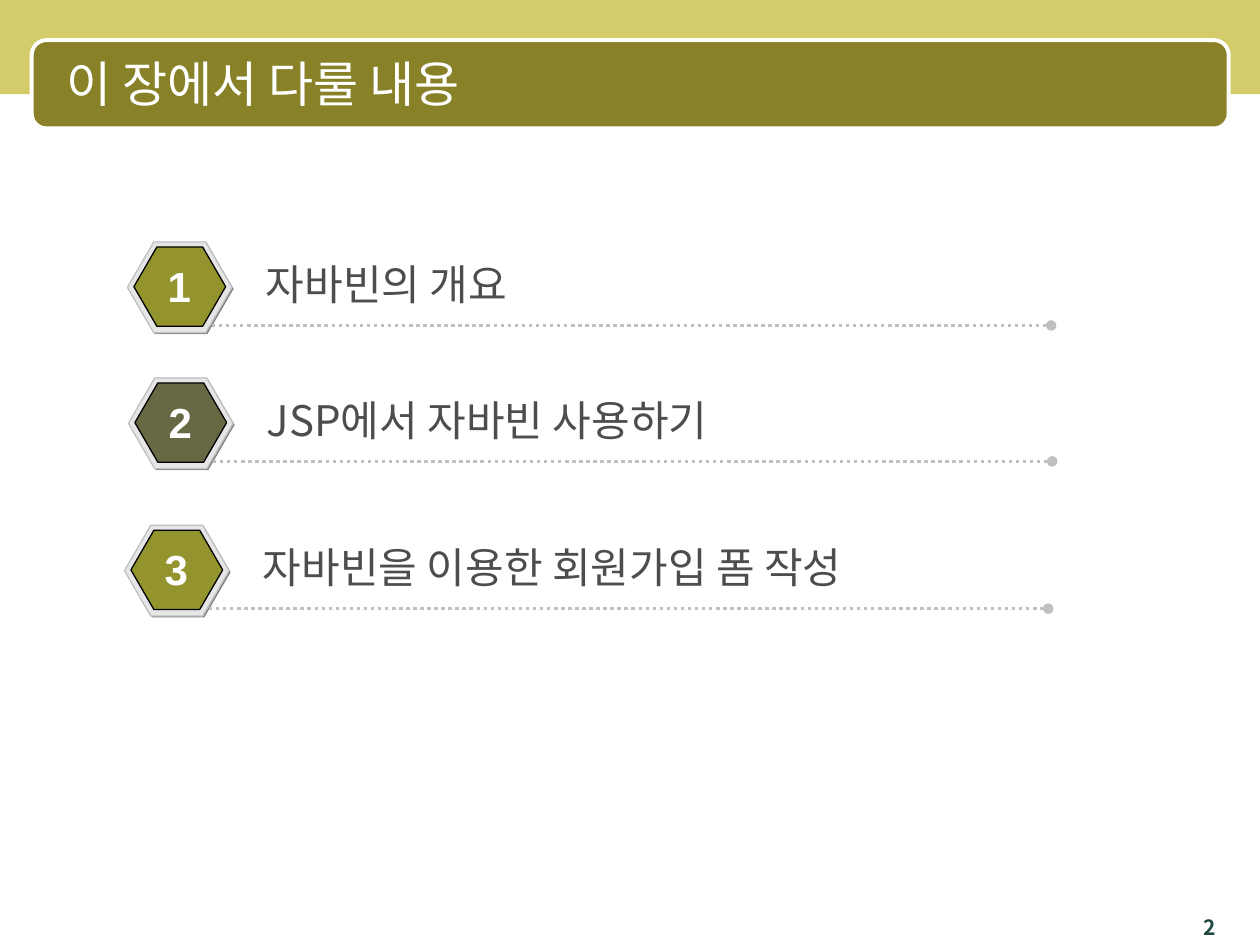
"""Build the chapter contents slide."""
import lxml.etree
import pptx
import pptx.dml.color
import pptx.enum.dml
import pptx.enum.shapes
import pptx.enum.text
import pptx.oxml.ns
import pptx.util

TITLE = "이 장에서 다룰 내용"
PAGE = "2"
ROWS = [
    ("자바빈의 개요", 2.57, 4.88, "olive", 80),
    ("JSP에서 자바빈 사용하기", 2.59, 7.62, "dark", 70),
    ("자바빈을 이용한 회원가입 폼 작성", 2.51, 10.59, "olive", 80),
]
HUES = {
    "band": "D4CC6A", "bar": "888128", "white": "FFFFFF", "page": "1D4940",
    "shade": "808080", "rim": "E6E6E6", "edge": "C0C0C0", "black": "000000",
    "olive": "808000", "dark": "333300", "text": "4D4D4D",
}
SANS = "Noto Sans CJK KR"
HEAD = {"size": pptx.util.Pt(28), "name": SANS}
BODY = {"size": pptx.util.Pt(24), "name": SANS}
DIGIT = {"size": pptx.util.Pt(24), "name": "Arial", "bold": True}
FOOT = {"size": pptx.util.Pt(12), "name": SANS, "bold": True}

Cm = pptx.util.Cm
KIND = pptx.enum.shapes.MSO_SHAPE
SIDE = pptx.enum.text.PP_ALIGN
MID = pptx.enum.text.MSO_ANCHOR.MIDDLE
qn = pptx.oxml.ns.qn


def hue(key):
    return pptx.dml.color.RGBColor.from_string(HUES[key])


def draw(slide, kind, box, fill, edge=None, width=0.75, alpha=None):
    shape = slide.shapes.add_shape(kind, *map(Cm, box))
    shape.shadow.inherit = False
    shape.fill.solid()
    shape.fill.fore_color.rgb = hue(fill)
    if edge:
        shape.line.color.rgb = hue(edge)
        shape.line.width = pptx.util.Pt(width)
    else:
        shape.line.fill.background()
    if alpha:
        tint = shape.element.spPr.find(qn("a:solidFill"))[0]
        lxml.etree.SubElement(tint, qn("a:alpha"), val=str(alpha * 1000))
    return shape


def write(slide, text, box, font, color, side=SIDE.LEFT, **frame):
    body = slide.shapes.add_textbox(*map(Cm, box)).text_frame
    for key, val in {"word_wrap": True, **frame}.items():
        setattr(body, key, val)
    para = body.paragraphs[0]
    para.alignment = side
    run = para.add_run()
    run.text = text
    for key, val in font.items():
        setattr(run.font, key, val)
    run.font.color.rgb = hue(color)
    props = run.font._element
    lxml.etree.SubElement(props, qn("a:ea"), typeface=font["name"])


def rule(slide, left, right, top):
    line = slide.shapes.add_connector(
        pptx.enum.shapes.MSO_CONNECTOR.STRAIGHT,
        Cm(left), Cm(top), Cm(right), Cm(top))
    line.line.color.rgb = hue("edge")
    line.line.width = pptx.util.Pt(2)
    line.line.dash_style = pptx.enum.dml.MSO_LINE.ROUND_DOT
    props = line.element.spPr
    lxml.etree.SubElement(props.find(qn("a:ln")), qn("a:tailEnd"), type="oval")
    lxml.etree.SubElement(props, qn("a:effectLst"))


def item(slide, num, text, x, y, fill, alpha):
    hexes = [
        ((x + 0.03, y + 0.03, 2.11, 1.83), "shade", None, None),
        ((x, y, 2.11, 1.83), "rim", "edge", None),
        ((x + 0.13, y + 0.1, 1.85, 1.6), fill, "black", alpha),
    ]
    for box, tone, edge, clear in hexes:
        shape = draw(slide, KIND.HEXAGON, box, tone, edge, alpha=clear)
        shape.adjustments[0] = 0.29
    rule(slide, x + 1.7, x + 18.62, y + 1.68)
    write(slide, text, (x + 2.54, y + 0.2, 15.88, 1.27), BODY, "text")
    write(slide, str(num), (x + 0.56, y + 0.25, 0.97, 1.27), DIGIT, "white",
          SIDE.CENTER, word_wrap=False)


def main():
    deck = pptx.Presentation()
    deck.slide_width, deck.slide_height = Cm(25.4), Cm(19.05)
    slide = deck.slides.add_slide(deck.slide_layouts[6])
    draw(slide, KIND.RECTANGLE, (0, 0, 25.4, 1.9), "band")
    draw(slide, KIND.ROUNDED_RECTANGLE, (0.64, 0.81, 24.13, 1.78),
         "bar", "white", 2.25)
    write(slide, PAGE, (22.43, 18.31, 2.34, 0.74), FOOT, "page", SIDE.RIGHT)
    write(slide, TITLE, (0.84, 0.89, 23.7, 1.57), HEAD, "white",
          vertical_anchor=MID, margin_left=Cm(0.51))
    for num, row in enumerate(ROWS, 1):
        item(slide, num, *row)
    deck.save("out.pptx")


if __name__ == "__main__":
    main()
